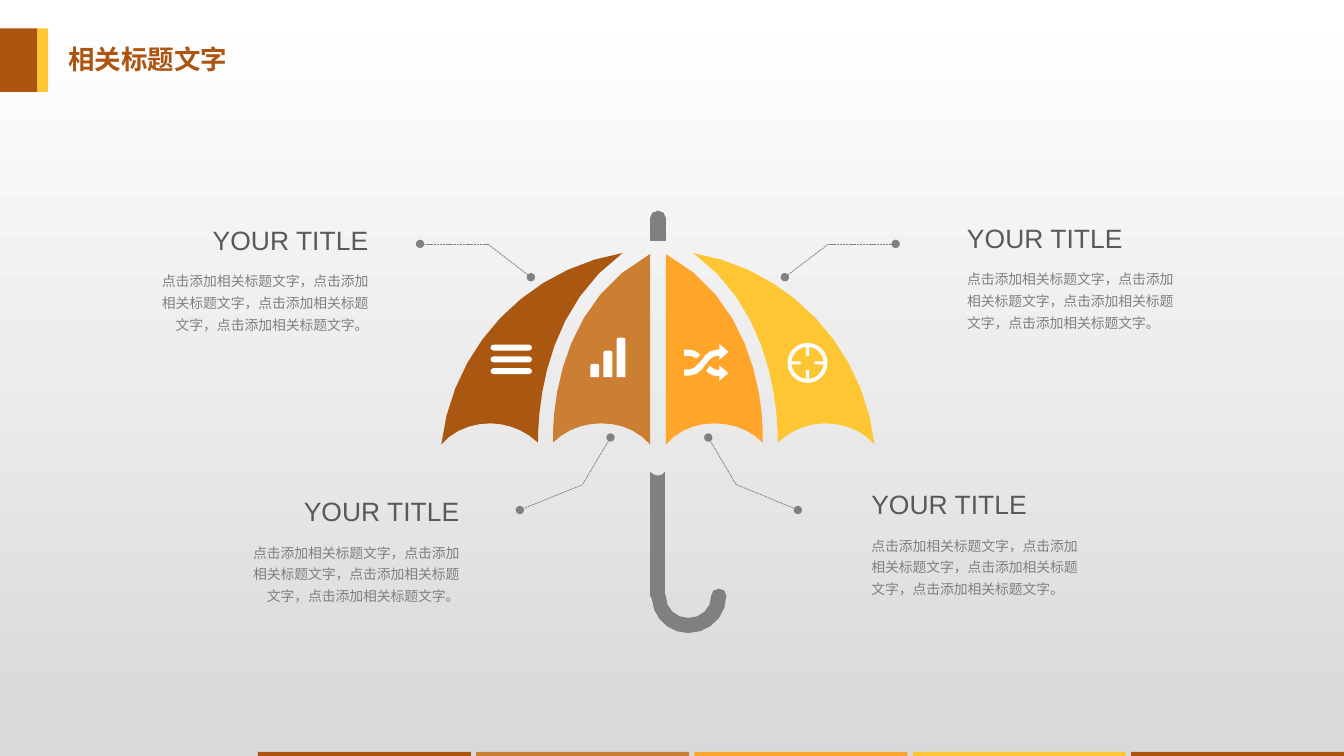
import math

import pptx
import pptx.dml.color
import pptx.enum.dml
import pptx.enum.shapes
import pptx.enum.text
import pptx.oxml.ns
import pptx.util
from lxml import etree

Pt = pptx.util.Pt
qn = pptx.oxml.ns.qn
ALIGN = pptx.enum.text.PP_ALIGN

COLORS = {
    "rust": "AD5410", "gold": "FFC633", "copper": "C98033", "amber": "FCA52C",
    "panel_rust": "A95711", "panel_copper": "CC7E33", "panel_amber": "FFA52A",
    "gray": "808080", "dark": "595959", "white": "FFFFFF", "silver": "D9D9D9",
}
FONT = "Arial"
HEADING = "相关标题文字"
CALLOUT_TITLE = "YOUR TITLE"
CALLOUT_BODY = "，".join(["点击添加相关标题文字"] * 4) + "。"

CALLOUTS = [
    {"edge": 270.4, "top": 156.2, "align": ALIGN.RIGHT,
     "leader": [(379.4, 198), (348.5, 174.2), (300.2, 174.2)]},
    {"edge": 684, "top": 154.8, "align": ALIGN.LEFT,
     "leader": [(560.9, 198), (592.2, 174.2), (640.1, 174.2)]},
    {"edge": 615.6, "top": 344.9, "align": ALIGN.LEFT,
     "leader": [(506.2, 312.5), (526, 346), (570.2, 364.3)]},
    {"edge": 335.5, "top": 349.9, "align": ALIGN.RIGHT,
     "leader": [(436.3, 312.5), (416.2, 346.3), (371.5, 364.3)]},
]
FOOTER_BARS = ["rust", "copper", "amber", "gold", "rust"]

AXIS = 470.2
OUTER_PANEL = [
    (315.4, 317.5), (323.3, 247.7, 376.6, 192.2, 445, 180.7),
    (388.1, 221.8, 384.5, 293.8, 384.5, 316.1),
    (375.1, 307.4, 362.9, 302.4, 350.6, 302.4),
    (337, 302.4, 324, 307.4, 315.4, 317.5)]
INNER_PANEL = [
    (395.3, 316.1), (394.6, 295.2, 398.2, 217.4, 464.6, 181.4), (464.6, 317.5),
    (455.8, 307.4, 443.5, 302.4, 429.8, 302.4),
    (416.2, 302.4, 403.9, 307.4, 395.3, 316.1)]
HANDLE = [
    (464.6, 337), (464.6, 425.5), (465.8, 427.7),
    (466.6, 441.4, 478.1, 452.2, 491.8, 452.2),
    (506.9, 452.2, 519.1, 440.6, 519.1, 425.5),
    (519.1, 422.6, 517, 420.5, 513.7, 420.5),
    (510.5, 420.5, 508.3, 422.6, 508.3, 425.5),
    (508.3, 434.9, 501.1, 441.4, 491.8, 441.4),
    (483.1, 441.4, 475.8, 434.9, 475.8, 425.5), (475.2, 424.1), (475.2, 337),
    (474.5, 338.4, 472.3, 339.8, 470.2, 339.8),
    (468, 339.8, 466, 338.4, 464.6, 337)]
TIP = [
    (475.8, 172.1), (475.8, 155.5), (475.8, 152.6, 473, 150.5, 470.2, 150.5),
    (467.3, 150.5, 464.6, 152.6, 464.6, 155.5), (464.6, 172.1)]
SHUFFLE = [
    [(514.1, 264.2), (512.6, 264.2), (510.5, 264.2, 509, 263, 507.6, 261.4),
     (506.7, 262.4), (504.7, 265), (506.9, 267.1, 509, 268.6, 512.6, 268.6),
     (514.1, 268.6), (514.1, 272.2), (520.6, 266.4), (514.1, 261)],
    [(497.5, 256.3), (498.4, 255.6), (500.4, 253.4),
     (498.2, 251.3, 496.1, 249.8, 492.5, 249.8), (488.9, 249.8),
     (488.9, 254.2), (492.5, 254.2), (494.6, 254.2, 496.1, 254.9, 497.5, 256.3)],
    [(512.6, 254.2), (514.1, 254.2), (514.1, 257.2), (520.6, 251.3),
     (514.1, 245.5), (514.1, 249.8), (512.6, 249.8),
     (506.9, 249.8, 504, 253.4, 501.1, 257.8),
     (498.2, 260.6, 496.1, 263.9, 492.5, 263.9), (488.9, 263.9),
     (488.9, 268.4), (492.5, 268.4), (498.2, 268.4, 501.8, 264.2, 504.7, 259.9),
     (506.9, 257, 509, 254.2, 512.6, 254.2)],
]

prs = pptx.Presentation()
prs.slide_width, prs.slide_height = Pt(960.5), Pt(540)
slide = prs.slides.add_slide(prs.slide_layouts[6])
shapes = slide.shapes


def rgb(color):
    return pptx.dml.color.RGBColor.from_string(COLORS[color])


def paint(shape, color):
    shape.shadow.inherit = False
    shape.fill.solid()
    shape.fill.fore_color.rgb = rgb(color)
    shape.line.fill.background()


def add_bar(left, top, width, height, color):
    paint(shapes.add_shape(pptx.enum.shapes.MSO_SHAPE.RECTANGLE,
                           Pt(left), Pt(top), Pt(width), Pt(height)), color)


def add_text(text, left, top, width, height, size, color, bold=False,
             align=ALIGN.LEFT, wrap=True, spacing=None):
    frame = shapes.add_textbox(Pt(left), Pt(top), Pt(width), Pt(height)).text_frame
    frame.word_wrap = wrap
    frame.auto_size = pptx.enum.text.MSO_AUTO_SIZE.SHAPE_TO_FIT_TEXT
    paragraph = frame.paragraphs[0]
    paragraph.alignment = align
    paragraph.line_spacing = spacing
    run = paragraph.add_run()
    run.text = text
    run.font.name, run.font.size, run.font.bold = FONT, Pt(size), bold
    run.font.color.rgb = rgb(color)


def add_leader(start, end, dot):
    leader = shapes.add_connector(pptx.enum.shapes.MSO_CONNECTOR.STRAIGHT,
                                  *(Pt(v) for v in start + end))
    leader.line.color.rgb = rgb("gray")
    leader.line.width = Pt(0.5)
    leader.line.dash_style = pptx.enum.dml.MSO_LINE.SQUARE_DOT
    properties = leader._element.spPr
    etree.SubElement(properties.find(qn("a:ln")), qn(dot), type="oval")
    etree.SubElement(properties, qn("a:effectLst"))


def flatten(outline):
    points = [outline[0]]
    for segment in outline[1:]:
        if len(segment) == 2:
            points.append(segment)
            continue
        controls = [points[-1], segment[:2], segment[2:4], segment[4:]]
        steps = max(2, math.ceil(0.7 * math.sqrt(math.dist(controls[0], controls[3]))))
        for step in range(1, steps + 1):
            t = step / steps
            weights = [math.comb(3, k) * t**k * (1 - t)**(3 - k) for k in range(4)]
            points.append(tuple(sum(w * c[axis] for w, c in zip(weights, controls))
                                for axis in (0, 1)))
    return points


def mirror(outline):
    return [tuple(2 * AXIS - v if i % 2 == 0 else v for i, v in enumerate(segment))
            for segment in outline]


def arc(x, y, radius, start, end, steps):
    angles = [math.radians(start + (end - start) * i / steps) for i in range(steps + 1)]
    return [(x + radius * math.cos(a), y + radius * math.sin(a)) for a in angles]


def pill(left, top, right, bottom):
    radius = (bottom - top) / 2
    return (arc(left + radius, top + radius, radius, 90, 270, 4)
            + arc(right - radius, top + radius, radius, -90, 90, 4))


def chart_bar(left, top, right, bottom, radius):
    return (arc(left + radius, top + radius, radius, 180, 270, 2)
            + arc(right - radius, top + radius, radius, 270, 360, 2)
            + [(right, bottom), (left, bottom)])


def crosshair(x, y, outer, inner, tick_end, half):
    gap = math.degrees(math.asin(half / inner))
    hole = []
    for angle in range(0, 360, 90):
        c, s = math.cos(math.radians(angle)), math.sin(math.radians(angle))
        hole += [(x + tick_end * c - side * s, y + tick_end * s + side * c)
                 for side in (-half, half)]
        hole += arc(x, y, inner, angle + gap, angle + 90 - gap, 5)
    return [arc(x, y, outer, 0, 360, 24), hole]


def add_outline(contours, color):
    builder = None
    for contour in contours:
        points = [(Pt(x), Pt(y)) for x, y in flatten(contour)]
        if builder is None:
            builder = shapes.build_freeform(*points[0], scale=1.0)
        else:
            builder.move_to(*points[0])
        builder.add_line_segments(points[1:], close=True)
    paint(builder.convert_to_shape(), color)


background = slide.background.fill
background.gradient()
background.gradient_angle = 270
for stop, position, color in zip(background.gradient_stops, (0, 0.99), ("white", "silver")):
    stop.position = position
    stop.color.rgb = rgb(color)

for callout in CALLOUTS:
    near, bend, far = callout["leader"]
    add_leader(near, bend, "a:headEnd")
    add_leader(bend, far, "a:tailEnd")

menu = [pill(350.6, 246.2 + 8.4 * i, 380.2, 250.4 + 8.4 * i) for i in range(3)]
chart_bars = [chart_bar(421.9 + 9.4 * i, 259.9 - 9.35 * i, 428.2 + 9.4 * i, 269.3, 1.4)
              for i in range(3)]
for contours, color in [
        ([OUTER_PANEL], "panel_rust"), ([INNER_PANEL], "panel_copper"),
        ([mirror(INNER_PANEL)], "panel_amber"), ([mirror(OUTER_PANEL)], "gold"),
        ([HANDLE], "gray"), ([TIP], "gray"), (menu, "white"), (chart_bars, "white"),
        (SHUFFLE, "white"), (crosshair(577.1, 259.2, 14.3, 11.5, 5, 1.1), "white")]:
    add_outline(contours, color)

for callout in CALLOUTS:
    align, top = callout["align"], callout["top"]
    for text, offset, width, height, style in [
            (CALLOUT_TITLE, 0, 126.7, 30.2, {"size": 18.9, "color": "dark", "wrap": False}),
            (CALLOUT_BODY, 31.7, 167, 54, {"size": 9.9, "color": "gray", "spacing": 1.3})]:
        left = callout["edge"] - (width if align == ALIGN.RIGHT else 0)
        add_text(text, left, top + offset, width, height, align=align, **style)

add_bar(26.6, 20.2, 7.9, 45.4, "gold")
add_bar(0, 20.2, 26.6, 45.4, "rust")
for i, color in enumerate(FOOTER_BARS):
    add_bar(184.3 + 156 * i, 537.1, 152.2, 2.9, color)
add_text(HEADING, 41.8, 27.4, 141.8, 30.2, 18.9, "rust", bold=True)

prs.save("out.pptx")
